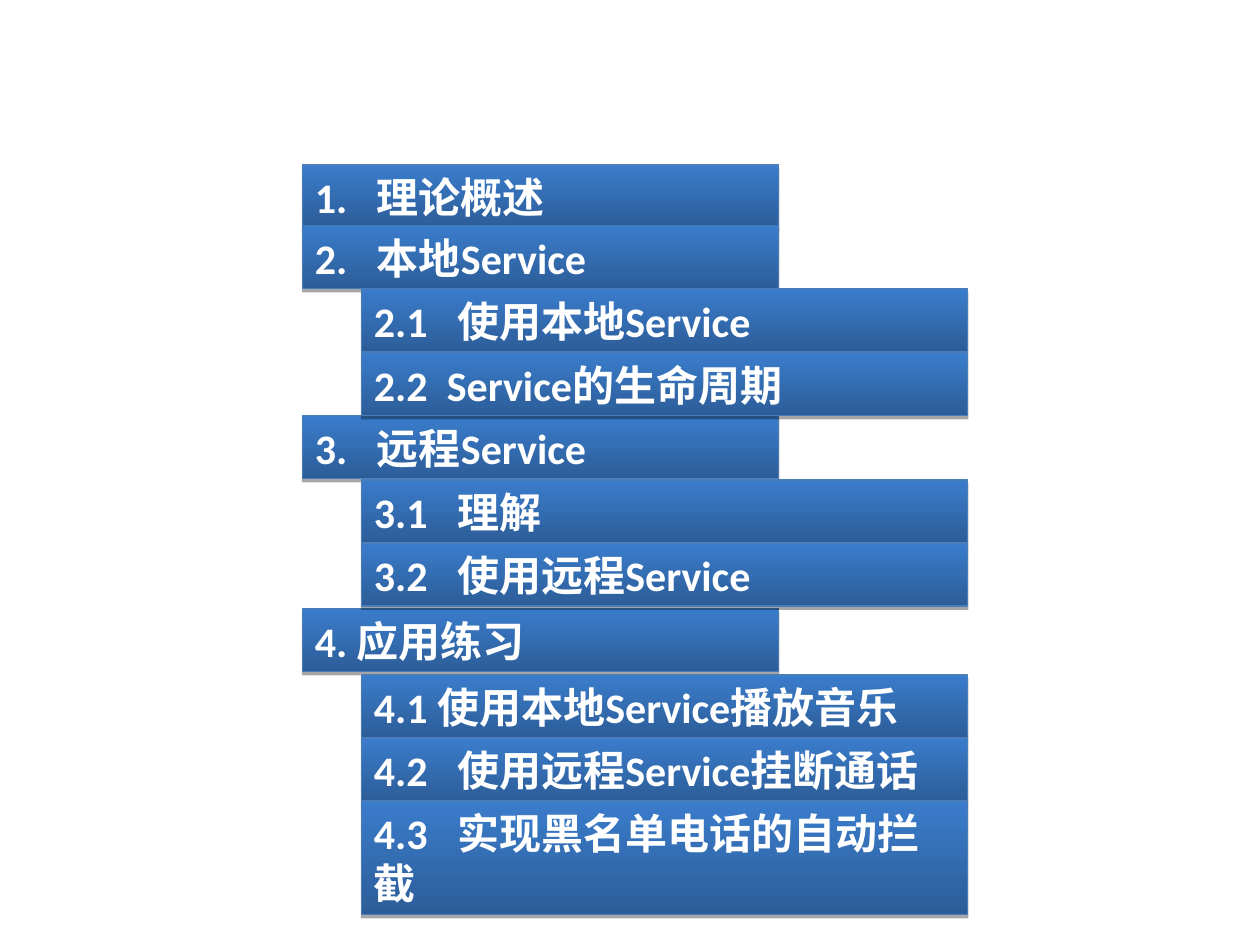
from dataclasses import dataclass

from lxml.etree import SubElement as Sub
from pptx import Presentation
from pptx.dml.color import RGBColor as Rgb
from pptx.enum.shapes import MSO_SHAPE as Shape
from pptx.enum.text import MSO_ANCHOR as Anchor, MSO_AUTO_SIZE as Auto, PP_ALIGN as Align
from pptx.oxml.ns import qn
from pptx.util import Cm, Pt

HUES = {"dark": "2C5D98", "light": "3A7CCB", "edge": "4A7EBB", "text": "FFFFFF", "shade": "000000"}
FONT = {"name": "Calibri", "size": Pt(24), "bold": True}
FRAME = {
    "margin_left": Cm(0.25),
    "margin_right": Cm(0.25),
    "margin_top": Cm(0.13),
    "margin_bottom": Cm(0.13),
    "word_wrap": True,
    "vertical_anchor": Anchor.TOP,
    "auto_size": Auto.SHAPE_TO_FIT_TEXT,
}
SHADE = {"blurRad": "0", "dist": str(Pt(1.8)), "dir": "5400000", "rotWithShape": "0"}


@dataclass(frozen=True)
class Level:
    left: float
    width: float
    tab: float


@dataclass(frozen=True)
class Bar:
    level: Level
    top: float
    text: str
    height: float = 1.27


MAIN = Level(6.1, 9.6, 1.25)
SUB = Level(7.29, 12.22, 1.68)
NAMED = Level(7.29, 12.22, 1.47)

BARS = [
    Bar(MAIN, 3.33, "1.\t理论概述"),
    Bar(MAIN, 4.55, "2.\t本地Service"),
    Bar(MAIN, 8.38, "3.\t远程Service"),
    Bar(SUB, 5.82, "2.1\t使用本地Service"),
    Bar(NAMED, 7.11, "2.2\tService的生命周期"),
    Bar(MAIN, 12.27, "4. 应用练习"),
    Bar(SUB, 9.68, "3.1\t理解"),
    Bar(SUB, 10.95, "3.2\t使用远程Service"),
    Bar(SUB, 13.61, "4.1 使用本地Service播放音乐"),
    Bar(SUB, 14.88, "4.2\t使用远程Service挂断通话"),
    Bar(SUB, 16.15, "4.3\t实现黑名单电话的自动拦截", 2.29),
]


def apply(target: object, values: dict) -> None:
    for key, value in values.items():
        setattr(target, key, value)


def hue(name: str) -> Rgb:
    return Rgb.from_string(HUES[name])


def paint(box) -> None:
    box.fill.gradient()
    box.fill.gradient_angle = 90
    for stop, name, place in zip(box.fill.gradient_stops, ("dark", "light"), (0, 1)):
        stop.color.rgb = hue(name)
        stop.position = place
    box.line.color.rgb = hue("edge")
    box.line.width = Pt(0.75)
    box.shadow.inherit = False
    shade = Sub(box.element.spPr.find(qn("a:effectLst")), qn("a:outerShdw"), SHADE)
    tint = Sub(shade, qn("a:srgbClr"), val=HUES["shade"])
    Sub(tint, qn("a:alpha"), val="35000")


def write(box, bar: Bar) -> None:
    frame = box.text_frame
    apply(frame, FRAME)
    para = frame.paragraphs[0]
    para.text = bar.text
    para.alignment = Align.LEFT
    tabs = Sub(para._p.get_or_add_pPr(), qn("a:tabLst"))
    Sub(tabs, qn("a:tab"), pos=str(Cm(bar.level.tab)), algn="l")
    font = para.runs[0].font
    apply(font, FONT)
    font.color.rgb = hue("text")


def draw(slide, bar: Bar) -> None:
    level = bar.level
    area = map(Cm, (level.left, bar.top, level.width, bar.height))
    box = slide.shapes.add_shape(Shape.RECTANGLE, *area)
    paint(box)
    write(box, bar)


def main() -> None:
    deck = Presentation()
    apply(deck, {"slide_width": Cm(25.4), "slide_height": Cm(19.05)})
    slide = deck.slides.add_slide(deck.slide_layouts[6])
    for bar in BARS:
        draw(slide, bar)
    deck.save("out.pptx")


if __name__ == "__main__":
    main()
